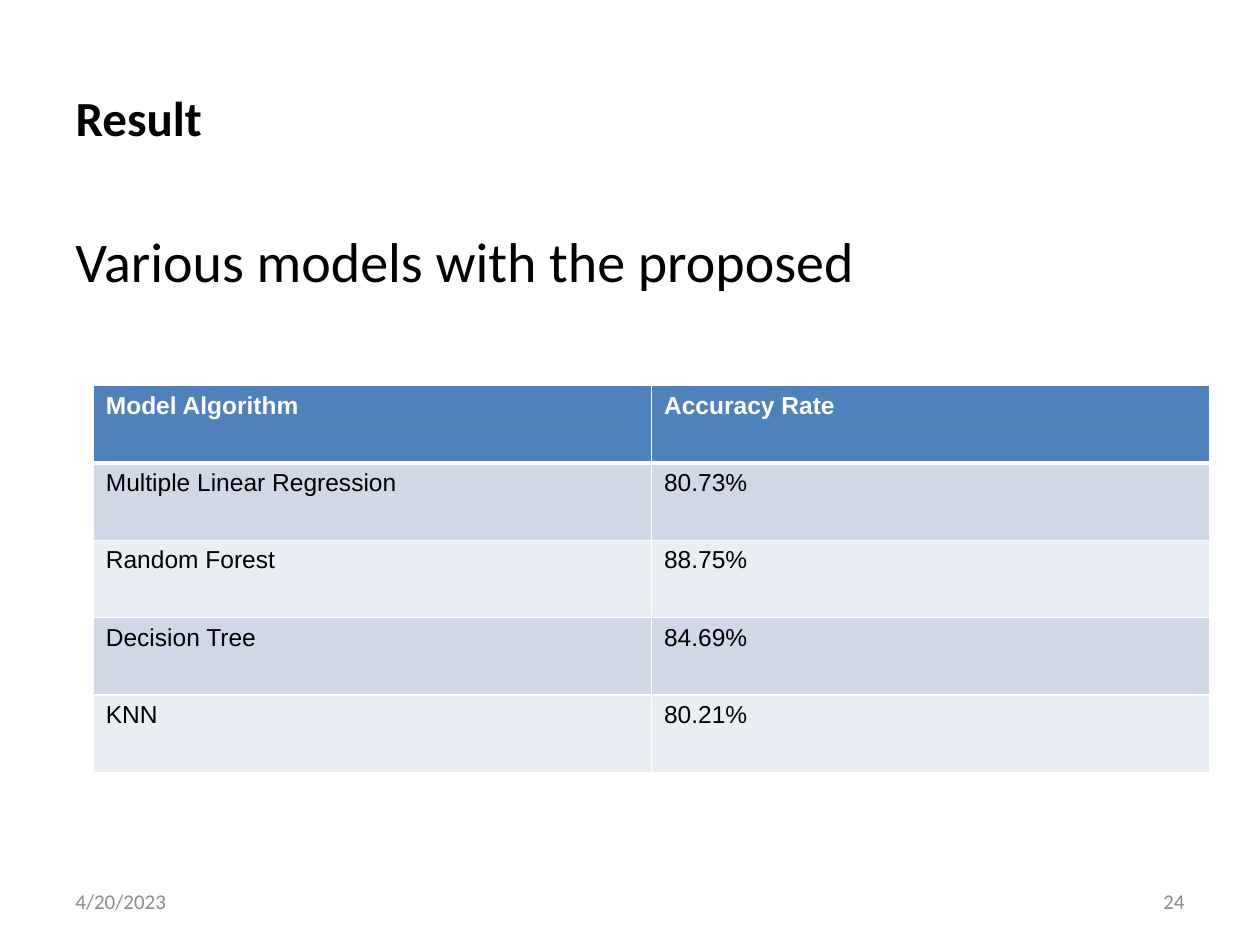
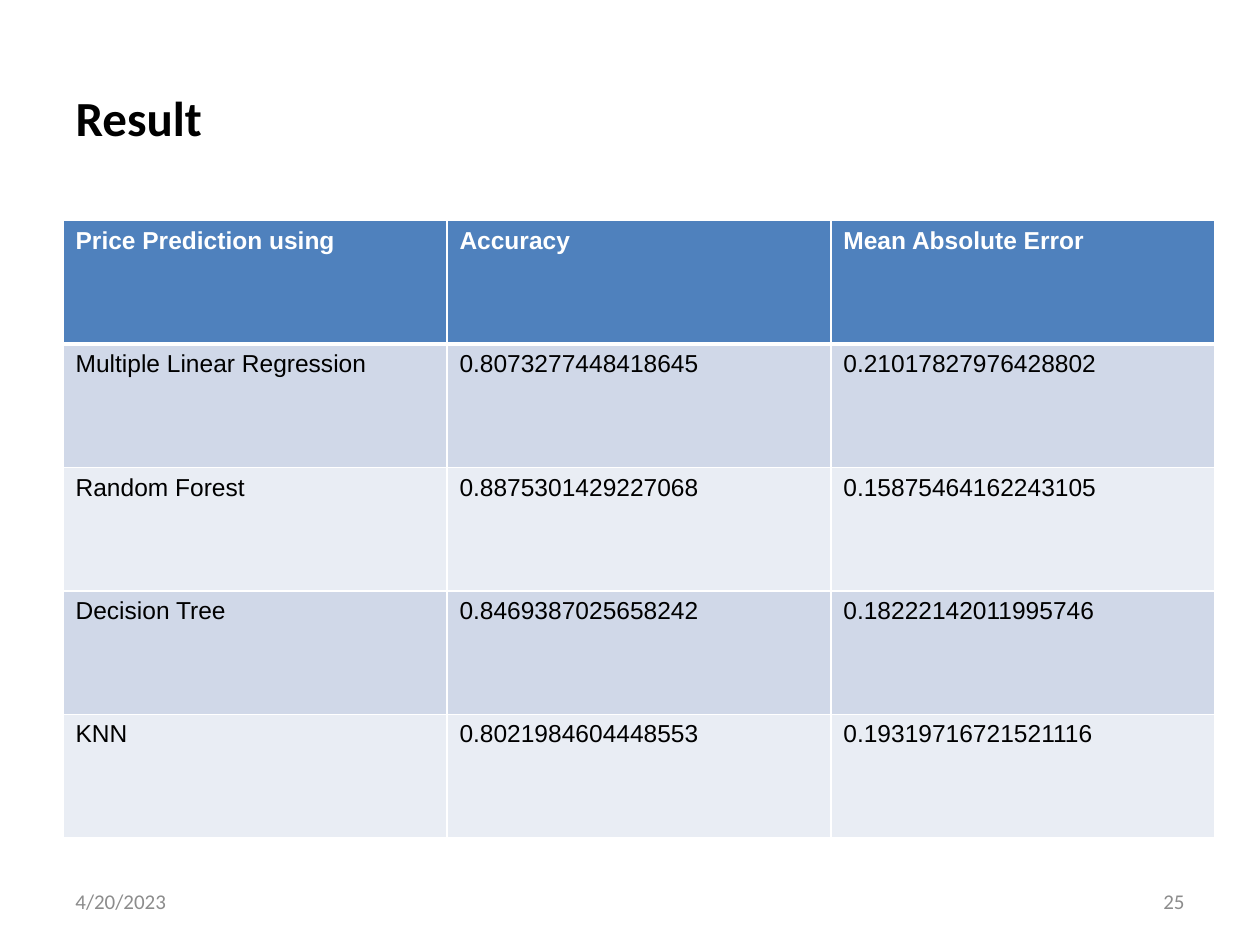
from dataclasses import dataclass

from lxml import etree
from pptx import Presentation
from pptx.dml.color import RGBColor
from pptx.enum import text
from pptx.oxml.ns import qn
from pptx.util import Pt

RESULTS = [
    {
        "number": "24",
        "lead": "Various models with the proposed",
        "table_box": (53.3, 220.3, 638, 221.2),
        "rows": [
            ("Model Algorithm", "Accuracy Rate"),
            ("Multiple Linear Regression", "80.73%"),
            ("Random Forest", "88.75%"),
            ("Decision Tree", "84.69%"),
            ("KNN", "80.21%"),
        ],
    },
    {
        "number": "25",
        "lead": None,
        "table_box": (36, 126, 658.2, 352.8),
        "rows": [
            ("Price Prediction using", "Accuracy", "Mean Absolute Error"),
            ("Multiple Linear Regression", "0.8073277448418645", "0.21017827976428802"),
            ("Random Forest", "0.8875301429227068", "0.15875464162243105"),
            ("Decision Tree", "0.8469387025658242", "0.18222142011995746"),
            ("KNN", "0.8021984604448553", "0.19319716721521116"),
        ],
    },
]
TITLE = "Result"
DATE = "4/20/2023"
TITLE_BOX = (36, 21.6, 648, 90)
LEAD_BOX = (36, 126, 648, 356.4)
DATE_BOX = (36, 500.4, 168, 28.8)
NUMBER_BOX = (516, 500.4, 168, 28.8)


@dataclass(frozen=True)
class Theme:
    heading_font: str = "Calibri"
    table_font: str = "Arial"
    ink: str = "000000"
    paper: str = "FFFFFF"
    muted: str = "8C8C8C"
    header: str = "4F81BD"
    bands: tuple = ("D0D8E8", "E9EDF4")
    title_size: int = 28
    lead_size: int = 32
    table_size: int = 14
    footer_size: int = 12


THEME = Theme()


def style(frame, font, size, color, bold=False, align=text.PP_ALIGN.LEFT):
    for para in frame.paragraphs:
        para.alignment = align
        for span in para.runs:
            span.font.name = font
            span.font.size = Pt(size)
            span.font.bold = bold
            span.font.color.rgb = RGBColor.from_string(color)


def add_title(page):
    title = page.shapes.title
    title.left, title.top, title.width, title.height = map(Pt, TITLE_BOX)
    title.text_frame.text = TITLE
    title.text_frame.vertical_anchor = text.MSO_ANCHOR.MIDDLE
    style(title.text_frame, THEME.heading_font, THEME.title_size, THEME.ink, bold=True)


def add_text(page, words, place, size, color, anchor, align=text.PP_ALIGN.LEFT):
    frame = page.shapes.add_textbox(*map(Pt, place)).text_frame
    frame.word_wrap = True
    frame.vertical_anchor = anchor
    frame.text = words
    style(frame, THEME.heading_font, size, color, align=align)
    return frame


def add_footer(page, number):
    for words, place, align in (
        (DATE, DATE_BOX, text.PP_ALIGN.LEFT),
        (number, NUMBER_BOX, text.PP_ALIGN.RIGHT),
    ):
        add_text(page, words, place, THEME.footer_size, THEME.muted,
                 text.MSO_ANCHOR.MIDDLE, align)


def add_borders(cell, top, bottom):
    properties = cell._tc.get_or_add_tcPr()
    for side, width in (("lnL", 1), ("lnR", 1), ("lnT", top), ("lnB", bottom)):
        line = etree.SubElement(properties, qn("a:" + side), w=str(Pt(width)))
        fill = etree.SubElement(line, qn("a:solidFill"))
        etree.SubElement(fill, qn("a:srgbClr"), val=THEME.paper)


def add_result_table(page, rows, place):
    table = page.shapes.add_table(len(rows), len(rows[0]), *map(Pt, place)).table
    for column in table.columns:
        column.width = Pt(place[2] / len(rows[0]))
    for index, values in enumerate(rows):
        table.rows[index].height = Pt(place[3] / len(rows))
        is_header = index == 0
        fill = THEME.header if is_header else THEME.bands[(index - 1) % 2]
        color = THEME.paper if is_header else THEME.ink
        for cell, value in zip(table.rows[index].cells, values):
            cell.text_frame.text = value
            style(cell.text_frame, THEME.table_font, THEME.table_size, color, is_header)
            add_borders(cell, 3 if index == 1 else 1, 3 if is_header else 1)
            cell.fill.solid()
            cell.fill.fore_color.rgb = RGBColor.from_string(fill)


def main():
    deck = Presentation()
    deck.slide_width, deck.slide_height = Pt(720), Pt(540)
    for result in RESULTS:
        page = deck.slides.add_slide(deck.slide_layouts[5])
        add_title(page)
        if result["lead"]:
            lead = add_text(page, result["lead"], LEAD_BOX, THEME.lead_size,
                            THEME.ink, text.MSO_ANCHOR.TOP)
            lead.paragraphs[0].space_before = Pt(THEME.lead_size * 0.2)
        add_result_table(page, result["rows"], result["table_box"])
        add_footer(page, result["number"])
    deck.save("out.pptx")


if __name__ == "__main__":
    main()
